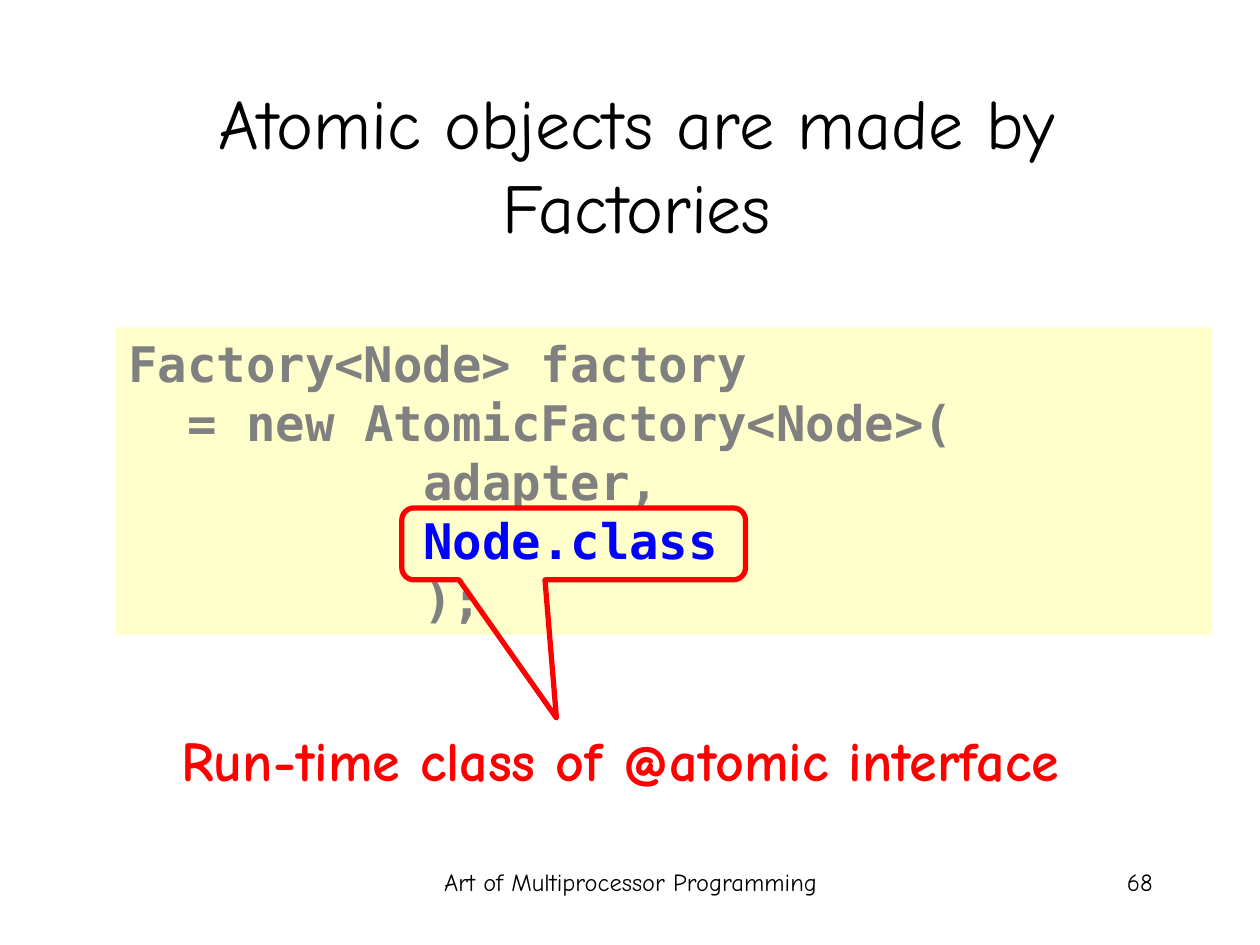
import dataclasses

import pptx
import pptx.dml.color
import pptx.enum.shapes
import pptx.enum.text
import pptx.util

Cm, Pt = pptx.util.Cm, pptx.util.Pt
Shape = pptx.enum.shapes.MSO_SHAPE
Align = pptx.enum.text.PP_ALIGN
Anchor = pptx.enum.text.MSO_ANCHOR
rgb = pptx.dml.color.RGBColor.from_string


@dataclasses.dataclass(frozen=True)
class Theme:
    font: str = "Comic Neue"
    mono: str = "DejaVu Sans Mono"
    ink: str = "000000"
    dim: str = "808080"
    key: str = "0000FF"
    mark: str = "FF0000"
    panel: str = "FFFFCC"
    title: int = 40
    note: int = 32
    code: int = 28
    foot: int = 14
    line: int = 3


THEME = Theme()
ADVANCE = 0.602  # width of one monospace character, in ems
CODE = [  # column, text, colour
    (0, "Factory<Node> factory", THEME.dim),
    (2, "= new AtomicFactory<Node>(", THEME.dim),
    (10, "adapter,", THEME.dim),
    (10, "Node.class", THEME.key),
    (10, ");", THEME.dim),
]


def add_run(para, text, size, color, font=THEME.font, bold=False):
    run = para.add_run()
    run.text = text
    run.font.name = font
    run.font.size = Pt(size)
    run.font.bold = bold
    run.font.color.rgb = rgb(color)


def add_label(slide, box, text, size, color, align, bold=False):
    frame = slide.shapes.add_textbox(*map(Cm, box)).text_frame
    frame.word_wrap = True
    para = frame.paragraphs[0]
    para.alignment = align
    add_run(para, text, size, color, bold=bold)


def add_title(slide, box, text):
    title = slide.shapes.title
    title.left, title.top, title.width, title.height = map(Cm, box)
    frame = title.text_frame
    frame.word_wrap = True
    frame.auto_size = pptx.enum.text.MSO_AUTO_SIZE.NONE
    frame.vertical_anchor = Anchor.MIDDLE
    para = frame.paragraphs[0]
    para.alignment = Align.CENTER
    add_run(para, text, THEME.title, THEME.ink)


def add_code(slide, box, lines):
    panel = slide.shapes.add_shape(Shape.RECTANGLE, *map(Cm, box))
    panel.shadow.inherit = False
    panel.fill.solid()
    panel.fill.fore_color.rgb = rgb(THEME.panel)
    panel.line.fill.background()
    frame = panel.text_frame
    frame.word_wrap = True
    frame.vertical_anchor = Anchor.TOP
    for row, (column, text, color) in enumerate(lines):
        para = frame.add_paragraph() if row else frame.paragraphs[0]
        para.alignment = Align.LEFT
        indent = Pt(column * ADVANCE * THEME.code)
        para._p.get_or_add_pPr().set("marL", str(indent))
        add_run(para, text, THEME.code, color, THEME.mono, True)


def add_callout(slide, box):
    """Outline one code line and point down to the note."""
    left, top, _, _ = box
    place = left + 5.76, top + 3.64, 6.93, 1.45
    callout = slide.shapes.add_shape(
        Shape.ROUNDED_RECTANGULAR_CALLOUT, *map(Cm, place))
    callout.shadow.inherit = False
    callout.fill.background()
    callout.line.color.rgb = rgb(THEME.mark)
    callout.line.width = Pt(THEME.line)
    for index, value in enumerate((-0.05, 2.42, 0.17)):
        callout.adjustments[index] = value


def add_footer(slide, box, text, number):
    left, top, width, height = box
    add_label(slide, (left, top, 8.05, height), text,
              THEME.foot, THEME.ink, Align.CENTER)
    add_label(slide, (left + width - 5.28, top, 5.28, height), number,
              THEME.foot, THEME.ink, Align.RIGHT)


def main():
    deck = pptx.Presentation()
    deck.slide_width, deck.slide_height = Cm(25.4), Cm(19.05)
    slide = deck.slides.add_slide(deck.slide_layouts.get_by_name("Title Only"))
    panel = 2.34, 6.6, 22.1, 6.2
    add_title(slide, (1.9, 1.7, 21.87, 3.18),
              "Atomic objects are made by Factories")
    add_code(slide, panel, CODE)
    add_callout(slide, panel)
    add_label(slide, (2.54, 14.5, 19.94, 1.63),
              "Run-time class of @atomic interface",
              THEME.note, THEME.mark, Align.CENTER, bold=True)
    add_footer(slide, (8.69, 17.35, 14.8, 1.27),
               "Art of Multiprocessor Programming", "68")
    deck.save("out.pptx")


if __name__ == "__main__":
    main()
